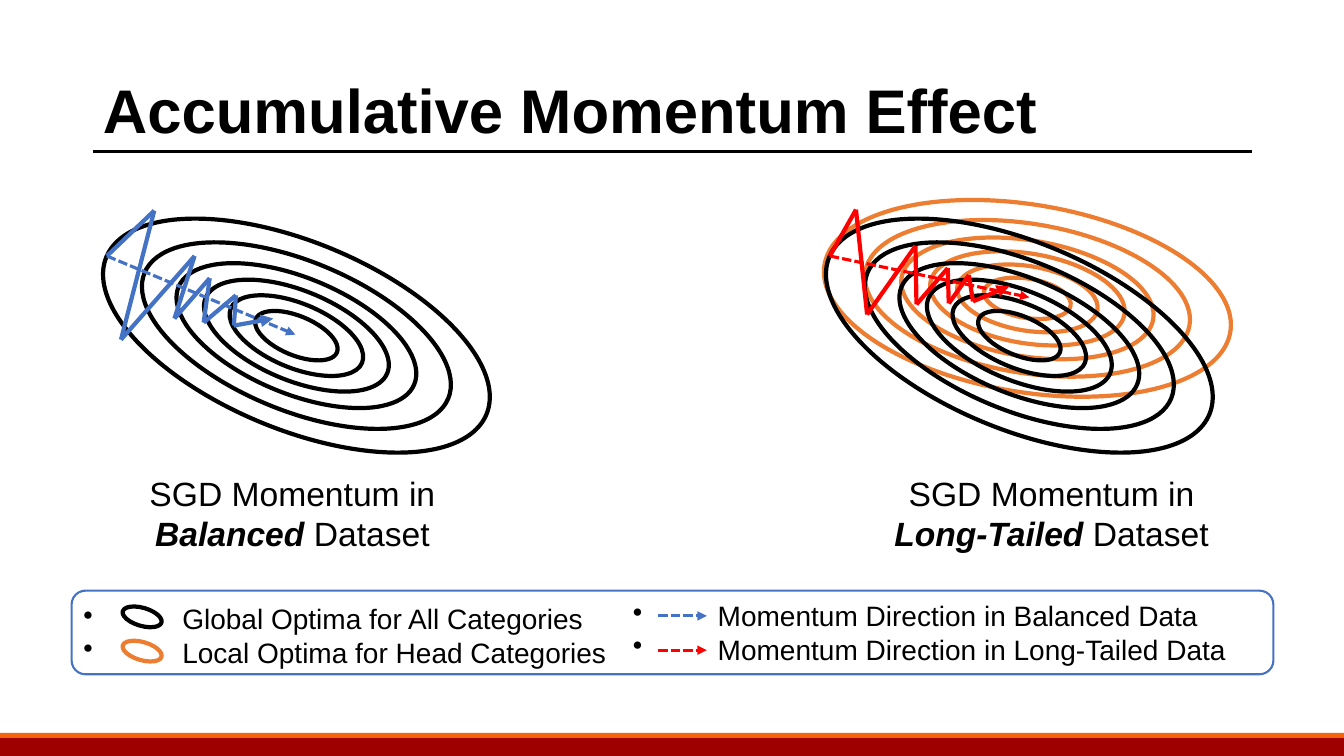
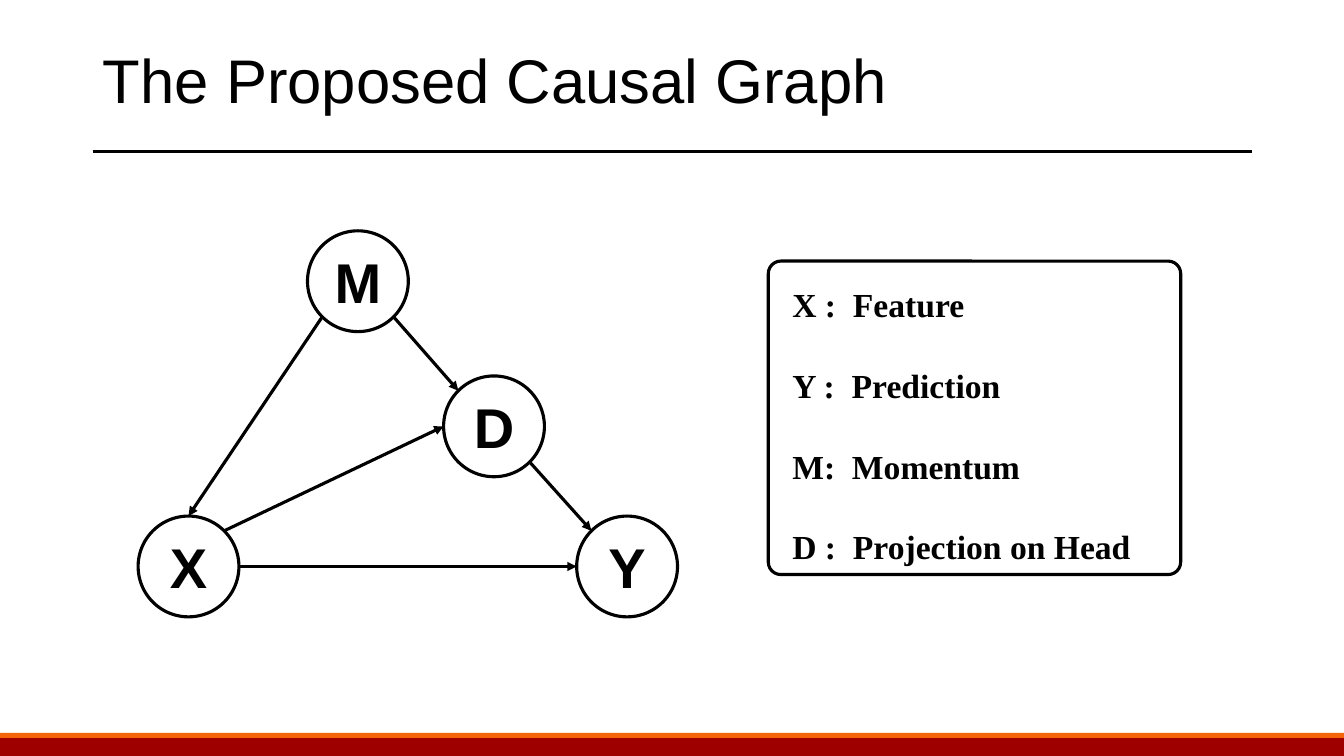
from itertools import pairwise
from math import cos, radians, sin

from pptx import Presentation
from pptx.dml.color import RGBColor
from pptx.enum.dml import MSO_LINE
from pptx.enum.shapes import MSO_CONNECTOR, MSO_SHAPE, PP_PLACEHOLDER
from pptx.enum.text import MSO_ANCHOR, PP_ALIGN
from pptx.oxml.xmlchemy import OxmlElement
from pptx.util import Inches, Pt

BLACK, WHITE, BLUE, ORANGE, RED = "000000", "FFFFFF", "4472C4", "ED7D31", "FF0000"
BAND, BAND_EDGE = "9E0000", "F5640B"
SANS, SERIF = "Arial", "Times New Roman"
RING_SIZES = [(0.87, 0.39), (1.41, 0.64), (1.95, 0.89),
              (2.53, 1.15), (3.26, 1.48), (4.08, 1.86)]


def color(hex_value):
    return RGBColor.from_string(hex_value)


def add_run(paragraph, text, size, name=SANS, **formats):
    run = paragraph.add_run()
    run.text = text
    run.font.color.rgb = color(BLACK)
    for key, value in {"size": Pt(size), "name": name, **formats}.items():
        setattr(run.font, key, value)


def add_outline(slide, kind, box, line=None, width=2.25, fill=None):
    shape = slide.shapes.add_shape(kind, *map(Inches, box))
    shape.shadow.inherit = False
    if fill:
        shape.fill.solid()
        shape.fill.fore_color.rgb = color(fill)
    else:
        shape.fill.background()
    if line:
        shape.line.color.rgb = color(line)
        shape.line.width = Pt(width)
    else:
        shape.line.fill.background()
    return shape


def add_line(slide, start, end, line=BLACK, width=2.25, dashed=False, arrow=False):
    connector = slide.shapes.add_connector(
        MSO_CONNECTOR.STRAIGHT, *map(Inches, (*start, *end)))
    connector.line.color.rgb = color(line)
    connector.line.width = Pt(width)
    if dashed:
        connector.line.dash_style = MSO_LINE.SQUARE_DOT
    if arrow:
        head = OxmlElement("a:tailEnd")
        head.set("type", "triangle")
        connector.line._get_or_add_ln().append(head)
    connector._element.spPr.append(OxmlElement("a:effectLst"))
    return connector


def add_ellipse(slide, center, size, rotation, line):
    (x, y), (width, height) = center, size
    ellipse = add_outline(slide, MSO_SHAPE.OVAL,
                          (x - width / 2, y - height / 2, width, height), line, 3)
    ellipse.rotation = rotation


def add_paragraphs(slide, box, paragraphs, size, name=SANS, **formats):
    """Each paragraph is a list of (text, font formats) runs."""
    frame = slide.shapes.add_textbox(*map(Inches, box)).text_frame
    frame.word_wrap = True
    for index, runs in enumerate(paragraphs):
        paragraph = frame.add_paragraph() if index else frame.paragraphs[0]
        for key, value in formats.items():
            setattr(paragraph, key, value)
        for text, font_formats in runs:
            add_run(paragraph, text, size, name, **font_formats)
    return frame


def add_bullets(frame, indent):
    for paragraph in frame.paragraphs:
        properties = paragraph._p.get_or_add_pPr()
        properties.set("marL", str(Inches(indent)))
        properties.set("indent", str(-Inches(indent)))
        bullet = OxmlElement("a:buChar")
        bullet.set("char", "•")
        properties.append(bullet)


def decorate_layout(layout, slide):
    """Move the band and the title rule from the slide to its layout."""
    for placeholder in list(layout.placeholders):
        if placeholder.placeholder_format.type != PP_PLACEHOLDER.TITLE:
            placeholder._element.getparent().remove(placeholder._element)
    parts = [
        add_outline(slide, MSO_SHAPE.RECTANGLE, (0, 7.29, 13.33, 0.21), fill=BAND),
        add_outline(slide, MSO_SHAPE.RECTANGLE, (0, 7.27, 13.33, 0.05), fill=BAND_EDGE),
        add_line(slide, (0.92, 1.5), (12.42, 1.5)),
    ]
    for part in parts:
        layout.shapes._spTree.append(part._element)


def set_title(slide, text, **frame_formats):
    title = slide.shapes.title
    box = {"left": 0.92, "top": 0.4, "width": 11.5, "height": 1.45}
    for key, value in box.items():
        setattr(title, key, Inches(value))
    for key, value in frame_formats.items():
        setattr(title.text_frame, key, value)
    heading = title.text_frame.paragraphs[0]
    heading.alignment = PP_ALIGN.LEFT
    heading.line_spacing = 0.9
    return heading, text


def momentum_panel(slide, left, top, dataset, caption_x, path_color, zigzag, target,
                   local_center=None):
    """Contours, descent path and caption; points are relative to the panel."""
    def place(point):
        return left + point[0], top + point[1]

    # Contours
    contours = [((2.04, 1.25), 22.5, BLACK)]
    if local_center:
        contours.insert(0, (local_center, 9.4, ORANGE))
    for center, rotation, line in contours:
        for size in RING_SIZES:
            add_ellipse(slide, place(center), size, rotation, line)

    # Momentum direction and descent path
    add_line(slide, place(zigzag[0]), place(target), path_color, dashed=True, arrow=True)
    for start, end in pairwise(zigzag):
        add_line(slide, place(start), place(end), path_color, 3, arrow=end == zigzag[-1])

    # Caption
    width = 3.8
    add_paragraphs(slide, (left + caption_x - width / 2, top + 2.56, width, 0.91),
                   [[("SGD Momentum in", {})],
                    [(dataset, {"bold": True, "italic": True}), (" Dataset", {})]],
                   24, alignment=PP_ALIGN.CENTER)


def momentum_legend(slide, left, top, width, height):
    add_outline(slide, MSO_SHAPE.ROUNDED_RECTANGLE, (left, top, width, height), BLUE, 1.5)
    columns = [
        (0.02, 0.06, 0.98, ["Global Optima for All Categories",
                            "Local Optima for Head Categories"]),
        (5.47, 0.03, 0.84, ["Momentum Direction in Balanced Data",
                            "Momentum Direction in Long-Tailed Data"]),
    ]
    for x, y, indent, labels in columns:
        frame = add_paragraphs(slide, (left + x, top + y, 6.2, 0.77),
                               [[(label, {})] for label in labels], 20)
        add_bullets(frame, indent)
    for row, (ring, arrow) in enumerate([(BLACK, BLUE), (ORANGE, RED)]):
        y = top + 0.25 + row * 0.34
        add_ellipse(slide, (left + 0.7, y + 0.01), (0.4, 0.18), 16.3, ring)
        add_line(slide, (left + 5.82, y), (left + 6.3, y), arrow, dashed=True, arrow=True)


def causal_graph(slide, left, top):
    diameter = 1
    corners = {"M": (1.68, 0), "X": (0, 2.83), "D": (3.03, 1.44), "Y": (4.35, 2.83)}
    # Connection sites run counterclockwise from the top in steps of 45 degrees
    edges = [("M", 5, "D", 1), ("D", 5, "Y", 1), ("M", 3, "X", 0),
             ("X", 7, "D", 2), ("X", 6, "Y", 2)]

    nodes = {}
    for name, (x, y) in corners.items():
        node = add_outline(slide, MSO_SHAPE.OVAL, (left + x, top + y, diameter, diameter),
                           BLACK, fill=WHITE)
        node.text_frame.vertical_anchor = MSO_ANCHOR.MIDDLE
        label = node.text_frame.paragraphs[0]
        label.alignment = PP_ALIGN.CENTER
        add_run(label, name, 40, bold=True)
        nodes[name] = node

    def site_point(name, site):
        x, y = corners[name]
        angle, radius = radians(90 + 45 * site), diameter / 2
        return (left + x + radius * (1 + cos(angle)),
                top + y + radius * (1 - sin(angle)))

    for cause, cause_site, effect, effect_site in edges:
        edge = add_line(slide, site_point(cause, cause_site),
                        site_point(effect, effect_site), arrow=True)
        edge._connect_begin_to(nodes[cause], cause_site)
        edge._connect_end_to(nodes[effect], effect_site)


def variable_key(slide, left, top, width, height):
    meanings = ["X :  Feature", "Y :  Prediction", "M:  Momentum",
                "D :  Projection on Head"]
    add_paragraphs(slide, (left + 0.14, top - 0.22, width - 0.14, height + 0.1),
                   [[(meaning, {"bold": True})] for meaning in meanings],
                   24, SERIF, line_spacing=2.0)
    frame = add_outline(slide, MSO_SHAPE.ROUNDED_RECTANGLE,
                        (left, top, width, height), BLACK)
    frame.adjustments[0] = 0.04


def build_momentum_slide(slide):
    heading, text = set_title(slide, "Accumulative Momentum Effect",
                              vertical_anchor=MSO_ANCHOR.MIDDLE)
    add_run(heading, text, 44, bold=True)
    momentum_panel(
        slide, 0.9, 2.08, "Balanced", 2.0, BLUE,
        [(0.16, 0.46), (0.63, 0.01), (0.3, 1.29), (1.03, 0.46), (0.83, 1.08),
         (1.18, 0.68), (1.12, 1.12), (1.44, 0.85), (1.42, 1.15), (1.81, 1.08)],
        target=(2.03, 1.24))
    momentum_panel(
        slide, 8.07, 2.08, "Long-Tailed", 2.36, RED,
        [(0.16, 0.46), (0.42, 0), (0.53, 1.04), (1.01, 0.36), (1.02, 0.94),
         (1.33, 0.58), (1.34, 0.93), (1.54, 0.65), (1.58, 0.91), (1.94, 0.76)],
        target=(2.14, 0.87), local_center=(2.12, 0.88))
    momentum_legend(slide, 0.71, 5.86, 11.92, 0.83)


def build_causal_slide(slide):
    heading, text = set_title(slide, "The Proposed Causal Graph",
                              vertical_anchor=MSO_ANCHOR.TOP, margin_top=Inches(0.1))
    add_run(heading, text, 44)
    causal_graph(slide, 1.37, 2.29)
    variable_key(slide, 7.62, 2.59, 4.09, 3.11)


def main():
    deck = Presentation()
    deck.slide_width, deck.slide_height = Inches(13.33), Inches(7.5)
    title_only = deck.slide_layouts[5]
    for index, build in enumerate([build_momentum_slide, build_causal_slide]):
        slide = deck.slides.add_slide(title_only)
        if index == 0:
            decorate_layout(title_only, slide)
        build(slide)
    deck.save("out.pptx")


if __name__ == "__main__":
    main()
